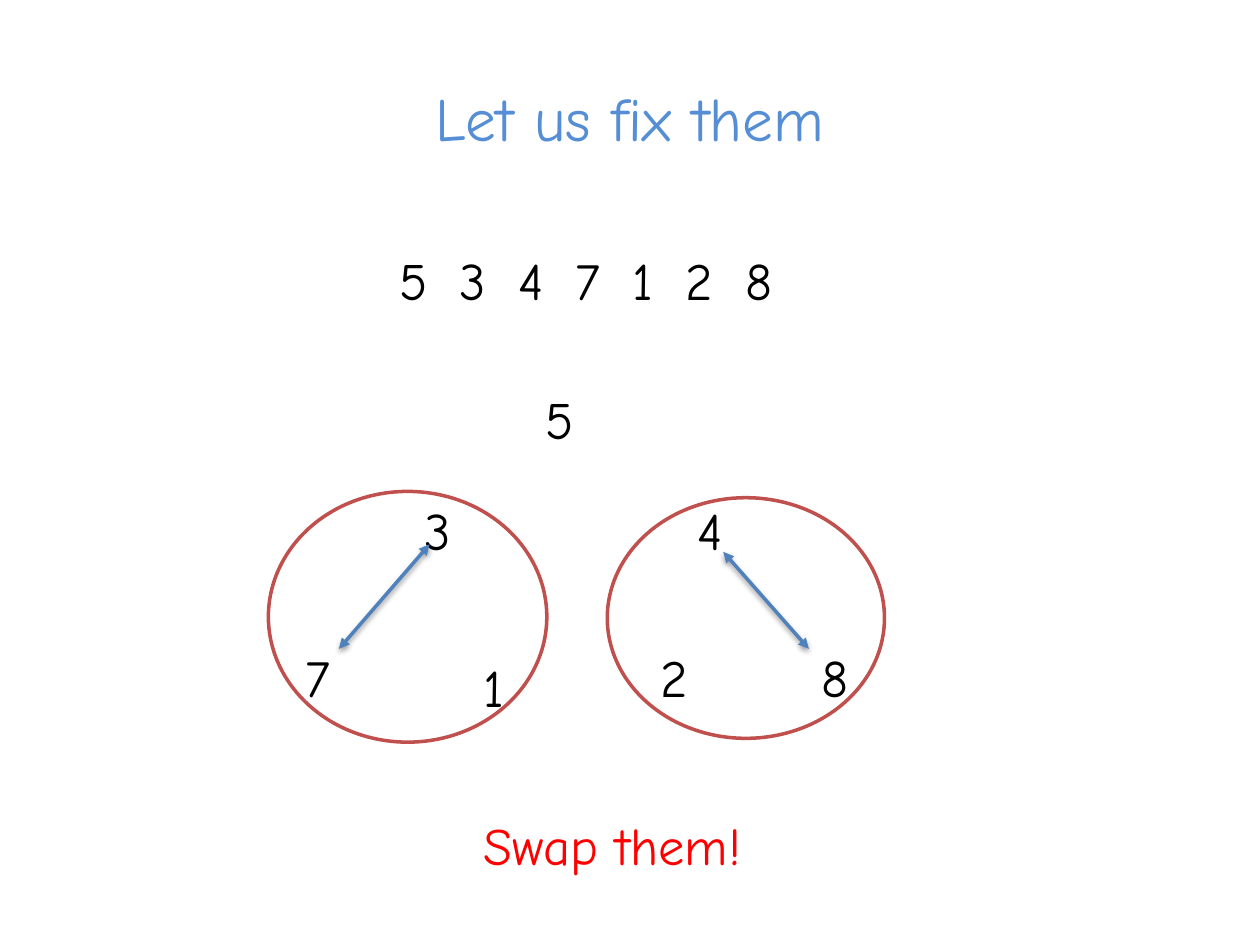
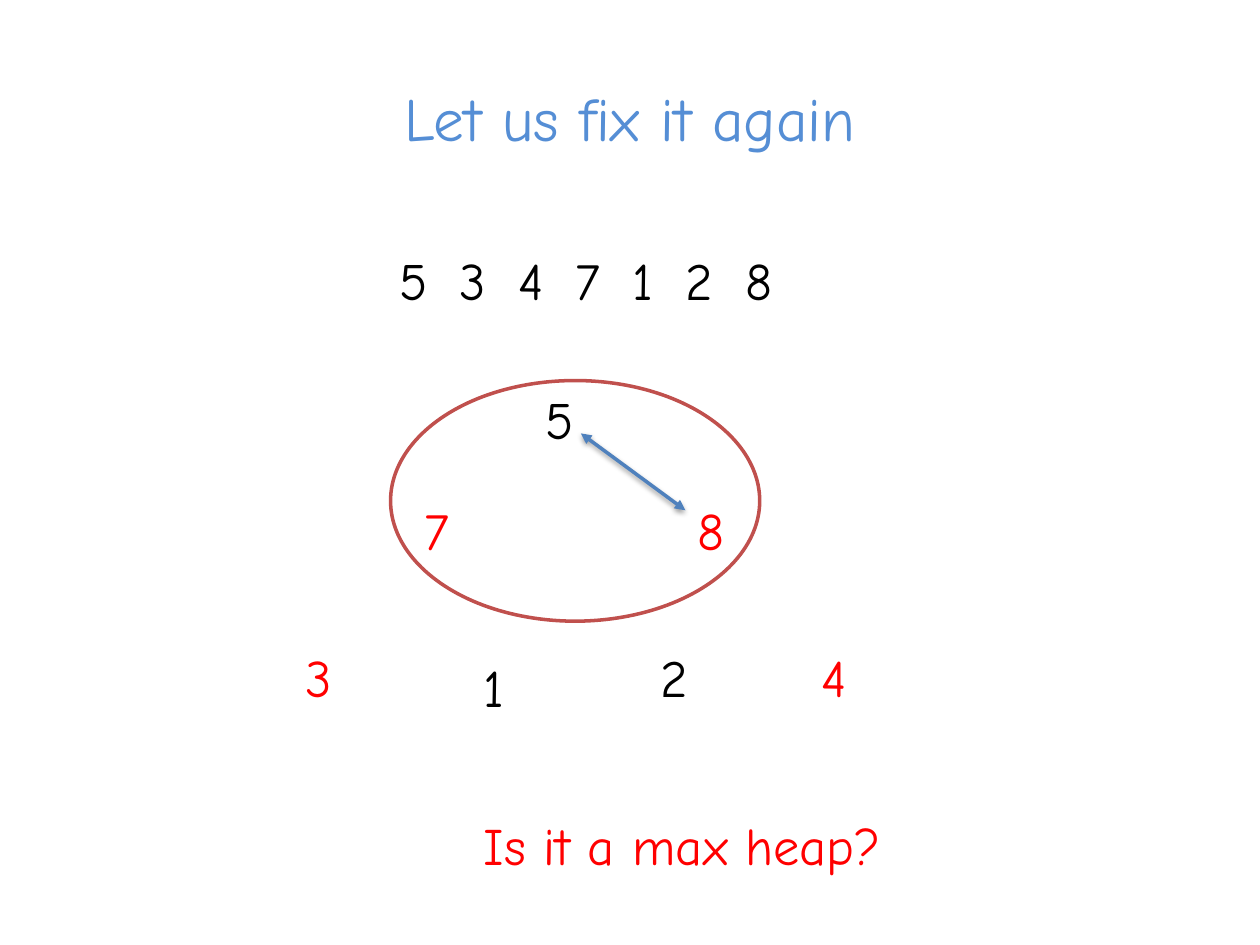
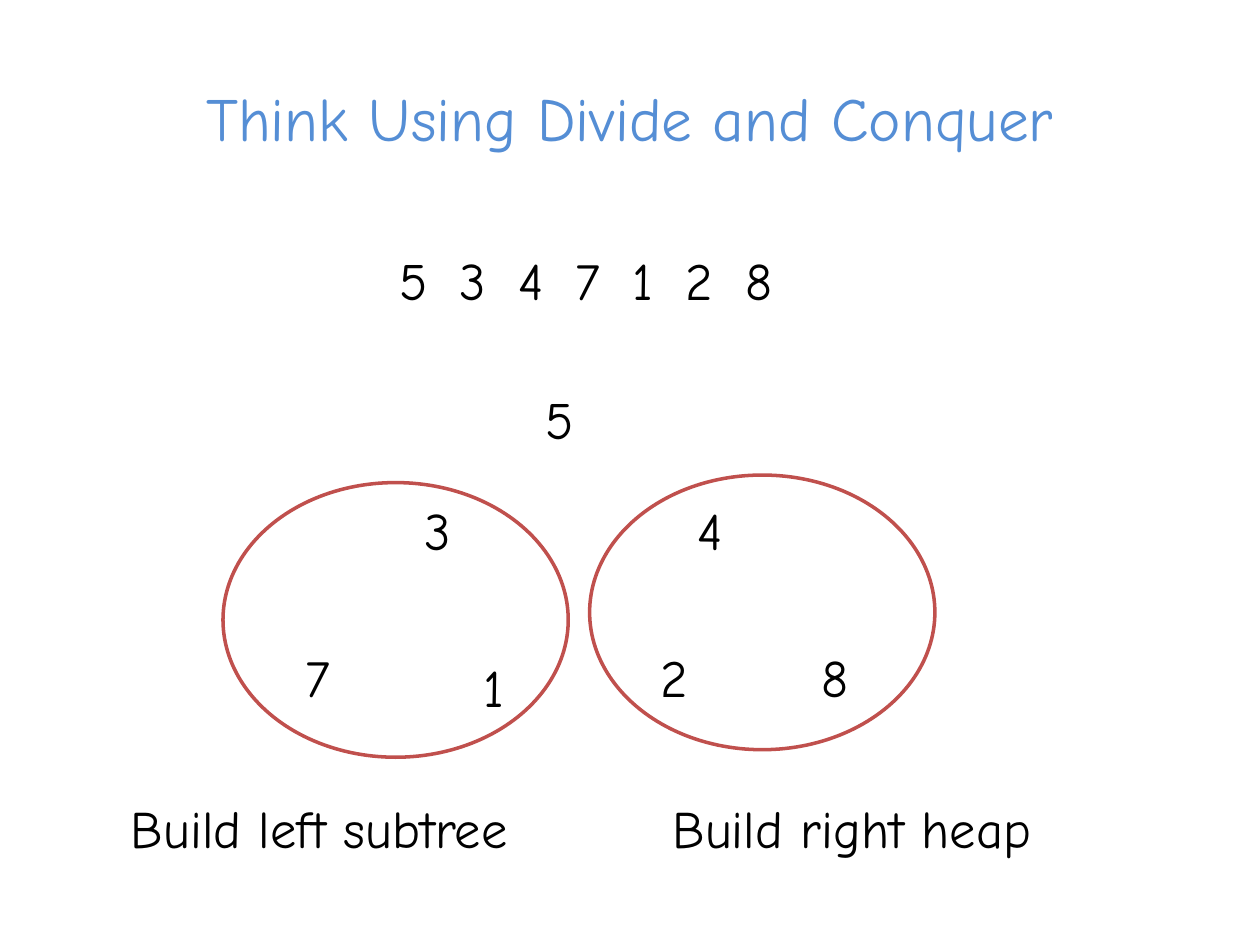
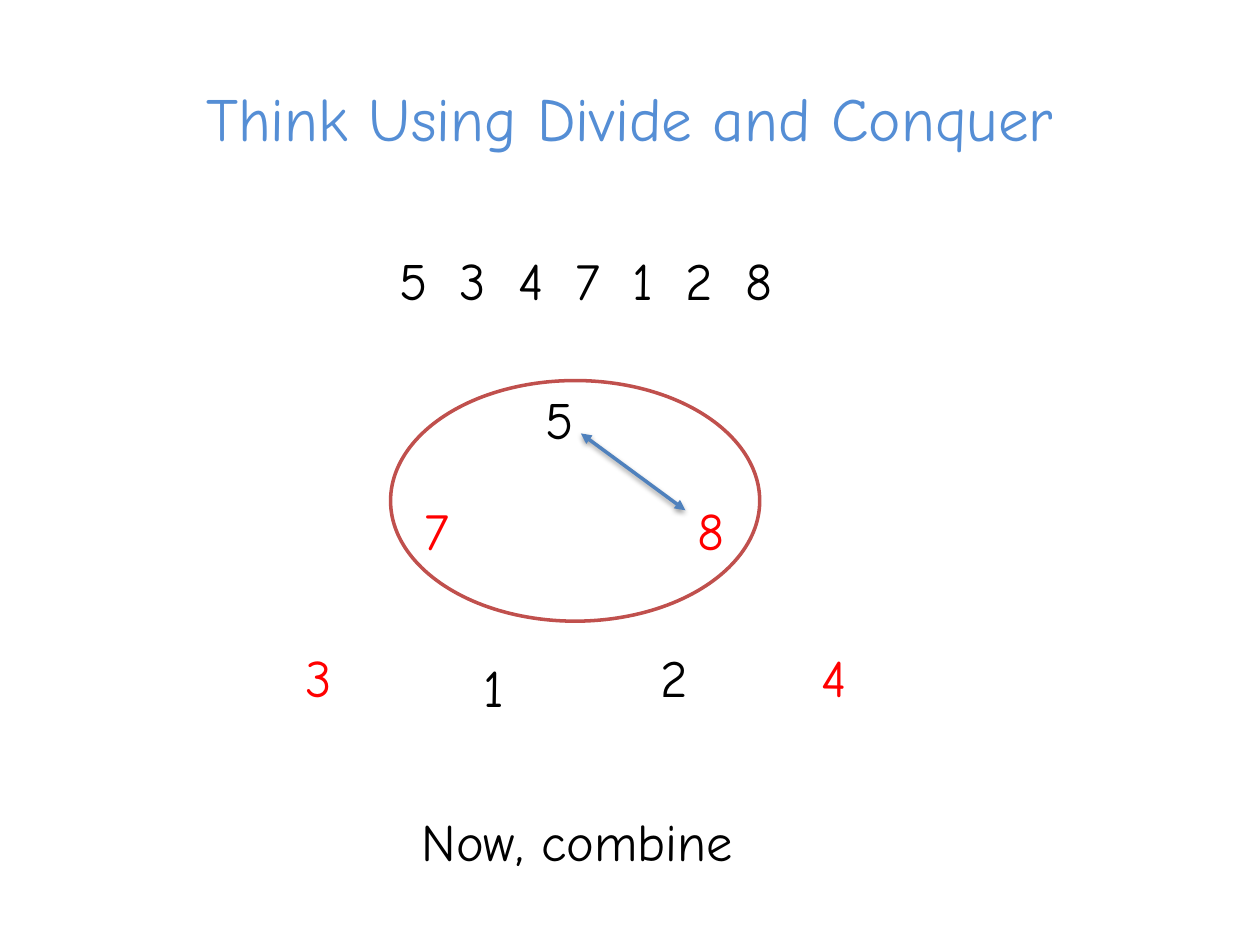
"""Build four slides on repairing a binary tree into a max heap."""
from dataclasses import dataclass

from pptx import Presentation
from pptx.dml.color import RGBColor
from pptx.enum import shapes, text
from pptx.oxml.ns import qn
from pptx.oxml.xmlchemy import OxmlElement
from pptx.util import Inches, Pt

FONT = "Comic Neue"
TITLE_BLUE = "558ED5"
ARROW_BLUE = "4F81BD"
RING_RED = "C0504D"
RED = "FF0000"
BLACK = "000000"

SEQUENCE = "5 3 4 7 1 2 8"
SEQUENCE_SPACING = 420
LINE_HEIGHT = 0.61
NODE_PLACES = [
    (4.23, 3.02), (3.27, 3.9), (5.44, 3.9),
    (2.33, 5.07), (3.74, 5.15), (5.14, 5.07), (6.42, 5.07),
]
NODE_WIDTHS = [4.98, 0.6, 0.72, 0.6, 0.6, 0.6, 0.6]


@dataclass(frozen=True)
class Label:
    content: str
    left: float
    top: float
    width: float
    color: str = BLACK


@dataclass(frozen=True)
class Ring:
    left: float
    top: float
    width: float
    height: float


@dataclass(frozen=True)
class SwapArrow:
    start: tuple[float, float]
    end: tuple[float, float]


@dataclass(frozen=True)
class HeapSlide:
    title: str
    nodes: str
    captions: list[Label]
    rings: list[Ring]
    arrows: list[SwapArrow]
    swapped: str = ""


ROOT_RING = Ring(3.1, 3.02, 2.93, 1.91)
ROOT_SWAP = SwapArrow((4.61, 3.44), (5.44, 4.05))
DIVIDE_TITLE = "Think Using Divide and Conquer"

SLIDES = [
    HeapSlide(
        "Let us fix them", "5347128",
        [Label("Swap them!", 3.74, 6.4, 6.93, RED)],
        [Ring(4.82, 3.95, 2.2, 1.91), Ring(2.13, 3.9, 2.21, 1.99)],
        [SwapArrow((5.74, 4.38), (6.42, 5.15)), SwapArrow((3.41, 4.32), (2.69, 5.15))],
    ),
    HeapSlide(
        "Let us fix it again", "5783124",
        [Label("Is it a max heap?", 3.74, 6.4, 6.93, RED)],
        [ROOT_RING], [ROOT_SWAP], swapped="7834",
    ),
    HeapSlide(
        DIVIDE_TITLE, "5347128",
        [Label("Build left subtree", 0.94, 6.27, 4.01),
         Label("Build right heap", 5.24, 6.27, 4.26)],
        [Ring(4.68, 3.77, 2.74, 2.18), Ring(1.77, 3.83, 2.74, 2.18)], [],
    ),
    HeapSlide(
        DIVIDE_TITLE, "5783124",
        [Label("Now, combine", 3.25, 6.37, 6.93)],
        [ROOT_RING], [ROOT_SWAP], swapped="7834",
    ),
]


def rgb(color: str) -> RGBColor:
    return RGBColor.from_string(color)


def place(shape, left: float, top: float, width: float, height: float) -> None:
    shape.left, shape.top = Inches(left), Inches(top)
    shape.width, shape.height = Inches(width), Inches(height)


def write(shape, content: str, size: int, color: str):
    frame = shape.text_frame
    frame.word_wrap = True
    frame.auto_size = text.MSO_AUTO_SIZE.SHAPE_TO_FIT_TEXT
    paragraph = frame.paragraphs[0]
    paragraph.text = content
    paragraph.font.name = FONT
    paragraph.font.size = Pt(size)
    paragraph.font.color.rgb = rgb(color)
    return paragraph


def add_title(slide, content: str) -> None:
    title = slide.shapes.title
    place(title, 0.5, 0.58, 9, 0.69)
    write(title, content, 35, TITLE_BLUE).alignment = text.PP_ALIGN.CENTER


def add_label(slide, label: Label):
    box = slide.shapes.add_textbox(
        Inches(label.left), Inches(label.top), Inches(label.width), Inches(LINE_HEIGHT))
    paragraph = write(box, label.content, 30, label.color)
    paragraph.space_before = Pt(4)
    return paragraph


def add_sequence(slide) -> None:
    paragraph = add_label(slide, Label(SEQUENCE, 3.07, 1.92, 4.98))
    properties = paragraph.runs[0].font._element
    properties.set("spc", str(SEQUENCE_SPACING))


def add_nodes(slide, values: str, swapped: str) -> None:
    for value, (left, top), width in zip(values, NODE_PLACES, NODE_WIDTHS):
        color = RED if value in swapped else BLACK
        add_label(slide, Label(value, left, top, width, color))


def add_ring(slide, ring: Ring) -> None:
    ellipse = slide.shapes.add_shape(
        shapes.MSO_SHAPE.OVAL, Inches(ring.left), Inches(ring.top),
        Inches(ring.width), Inches(ring.height))
    ellipse.shadow.inherit = False
    ellipse.fill.background()
    ellipse.line.color.rgb = rgb(RING_RED)
    ellipse.line.width = Pt(2)


def add_swap_arrow(slide, arrow: SwapArrow) -> None:
    connector = slide.shapes.add_connector(
        shapes.MSO_CONNECTOR.STRAIGHT, *map(Inches, arrow.start + arrow.end))
    connector.line.color.rgb = rgb(ARROW_BLUE)
    connector.line.width = Pt(2)
    outline = connector._element.spPr.find(qn("a:ln"))
    for tag in ("a:headEnd", "a:tailEnd"):
        arrowhead = OxmlElement(tag)
        arrowhead.set("type", "triangle")
        outline.append(arrowhead)


def main() -> None:
    presentation = Presentation()
    presentation.slide_width, presentation.slide_height = Inches(10), Inches(7.5)
    title_only = presentation.slide_layouts[5]
    for heap in SLIDES:
        slide = presentation.slides.add_slide(title_only)
        add_title(slide, heap.title)
        add_sequence(slide)
        add_nodes(slide, heap.nodes, heap.swapped)
        for caption in heap.captions:
            add_label(slide, caption)
        for ring in heap.rings:
            add_ring(slide, ring)
        for arrow in heap.arrows:
            add_swap_arrow(slide, arrow)
    presentation.save("out.pptx")


if __name__ == "__main__":
    main()
